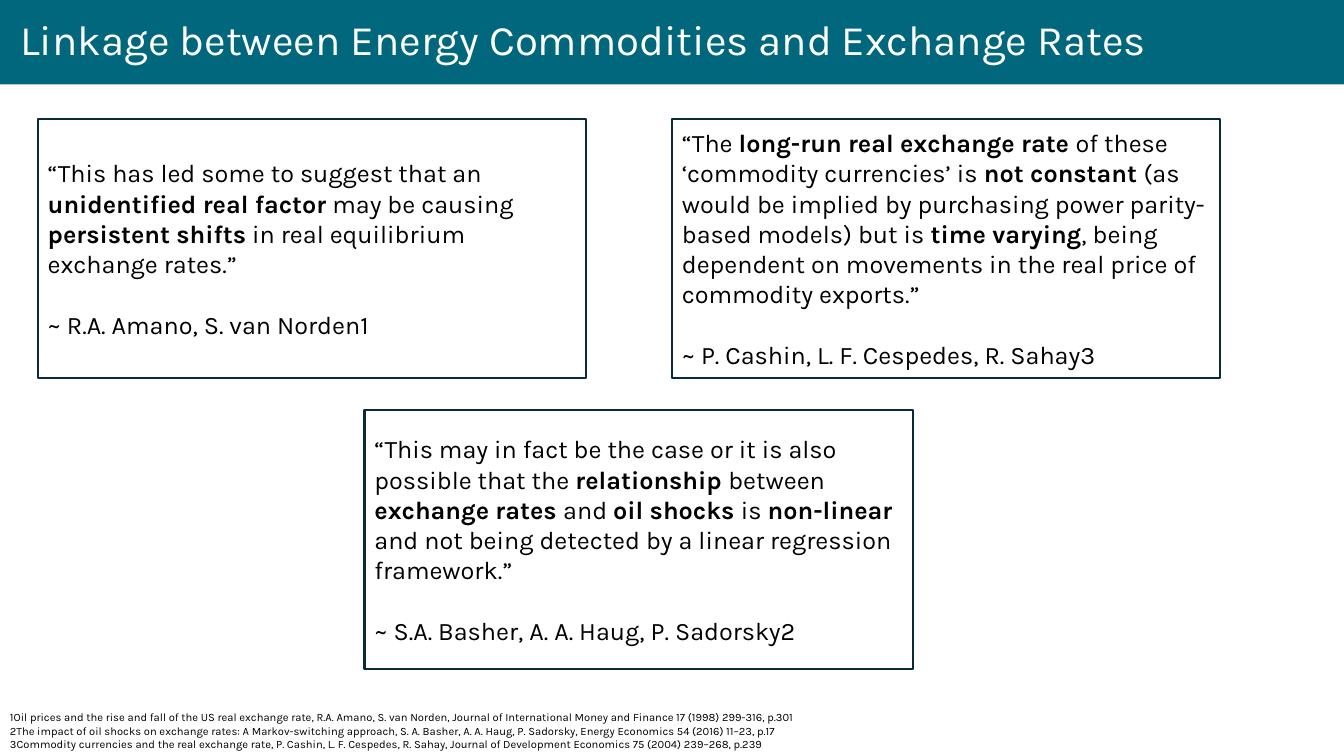
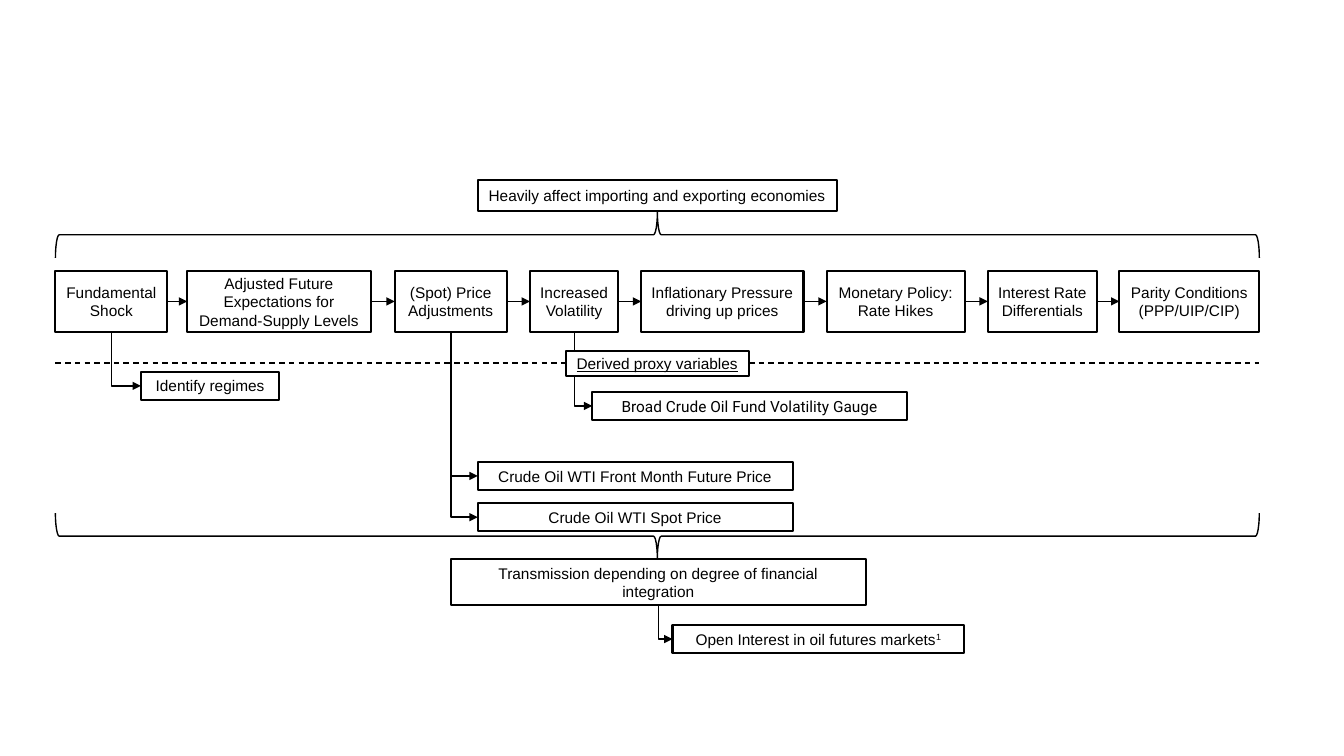
from lxml import etree
from pptx import Presentation
from pptx.dml.color import RGBColor
from pptx.enum.dml import MSO_LINE
from pptx.enum.shapes import MSO_CONNECTOR, MSO_SHAPE
from pptx.enum.text import MSO_ANCHOR, PP_ALIGN
from pptx.oxml.ns import qn
from pptx.util import Pt

LEFT, CENTER = PP_ALIGN.LEFT, PP_ALIGN.CENTER
MIDDLE = MSO_ANCHOR.MIDDLE
RECTANGLE, BRACE = MSO_SHAPE.RECTANGLE, MSO_SHAPE.LEFT_BRACE
STRAIGHT, ELBOW = MSO_CONNECTOR.STRAIGHT, MSO_CONNECTOR.ELBOW
DASH = MSO_LINE.DASH

TITLE_ONLY, BLANK = 5, 6
TEAL, NAVY, BLACK, WHITE = "00677C", "092A39", "000000", "FFFFFF"
KARLA, ARIAL, ROBOTO = "Karla", "Arial", "Roboto"

QUOTE_SIZE = (391.7, 185)
QUOTES = [
    (27, 85,
     "“This has led some to suggest that an **unidentified real factor** may be causing "
     "**persistent shifts** in real equilibrium exchange rates.”",
     "~ R.A. Amano, S. van Norden1"),
    (260.4, 293,
     "“This may in fact be the case or it is also possible that the **relationship **between "
     "**exchange rates **and **oil shocks **is **non-linear **and not being detected by a "
     "linear regression framework.”",
     "~ S.A. Basher, A. A. Haug, P. Sadorsky2"),
    (480, 85,
     "“The **long-run real exchange rate **of these ‘commodity currencies’ is **not constant **"
     "(as would be implied by purchasing power parity-based models) but is **time varying**, "
     "being dependent on movements in the real price of commodity exports.”",
     "~ P. Cashin, L. F. Cespedes, R. Sahay3"),
]
SOURCES = [
    "1Oil prices and the rise and fall of the US real exchange rate, R.A. Amano, S. van Norden, "
    "Journal of International Money and Finance 17 (1998) 299-316, p.301",
    "2The impact of oil shocks on exchange rates: A Markov-switching approach, S. A. Basher, "
    "A. A. Haug, P. Sadorsky, Energy Economics 54 (2016) 11–23, p.17",
    "3Commodity currencies and the real exchange rate, P. Cashin, L. F. Cespedes, R. Sahay, "
    "Journal of Development Economics 75 (2004) 239–268, p.239",
]

FLOW_TOP, FLOW_HEIGHT = 193.6, 43.4
FLOW_STEPS = [  # label, left, width
    ("Fundamental\nShock", 39.6, 80),
    ("Adjusted Future\nExpectations for\nDemand-Supply Levels", 133.8, 131),
    ("(Spot) Price\nAdjustments", 282, 80),
    ("Increased\nVolatility", 378.6, 63),
    ("Inflationary Pressure\ndriving up prices", 458, 116),
    ("Monetary Policy:\nRate Hikes", 590.5, 98.5),
    ("Interest Rate\nDifferentials", 705.6, 78),
    ("Parity Conditions\n(PPP/UIP/CIP)", 799.6, 100),
]
PROXY_HEIGHT = 20
PROXIES = [  # flow step, label, left, top, width, font
    (0, "Identify regimes", 100.6, 265.6, 99, ARIAL),
    (2, "Crude Oil WTI Front Month Future Price", 341.2, 330, 225, ARIAL),
    (2, "Crude Oil WTI Spot Price", 341.2, 359.4, 225, ARIAL),
    (3, "Broad Crude Oil Fund Volatility Gauge", 423, 280, 225, ROBOTO),
]
CHART_LEFT, CHART_RIGHT = 39.6, 899.5


def rgb(value):
    return RGBColor.from_string(value)


def style_spans(para, size, font, color):
    for span in para.runs:
        span.font.size = Pt(size)
        span.font.name = font
        span.font.color.rgb = rgb(color)


def add_outline(page, kind, left, top, width, height, color=BLACK, weight=1.5):
    shape = page.shapes.add_shape(kind, Pt(left), Pt(top), Pt(width), Pt(height))
    shape.shadow.inherit = False
    shape.fill.background()
    shape.line.color.rgb = rgb(color)
    shape.line.width = Pt(weight)
    return shape


def add_title(page, text):
    title = page.shapes.title
    title.left, title.top, title.width, title.height = 0, 0, Pt(960), Pt(60.3)
    title.fill.solid()
    title.fill.fore_color.rgb = rgb(TEAL)
    frame = title.text_frame
    frame.text = text
    frame.vertical_anchor = MIDDLE
    frame.margin_left = Pt(14.5)
    para = frame.paragraphs[0]
    para.alignment = LEFT
    para.line_spacing = 0.9
    style_spans(para, 30, KARLA, WHITE)


def add_quote(page, left, top, quote, authors):
    """Write a quote, whose **marked** words are bold, above its authors."""
    box = add_outline(page, RECTANGLE, left, top, *QUOTE_SIZE, color=NAVY)
    frame = box.text_frame
    frame.word_wrap = True
    frame.vertical_anchor = MIDDLE
    body, credit = frame.paragraphs[0], frame.add_paragraph()
    for index, words in enumerate(quote.split("**")):
        span = body.add_run()
        span.text = words
        span.font.bold = index % 2 == 1
    credit.text = authors
    credit.space_before = Pt(21.6)
    for para in (body, credit):
        para.alignment = LEFT
        style_spans(para, 18, KARLA, BLACK)


def add_sources(page):
    box = page.shapes.add_textbox(0, Pt(504), Pt(805), Pt(36))
    frame = box.text_frame
    frame.word_wrap = True
    frame.text = "\n".join(SOURCES)
    for para in frame.paragraphs:
        style_spans(para, 8, KARLA, BLACK)


def add_label(page, text, left, top, width, height, font=ARIAL):
    box = add_outline(page, RECTANGLE, left, top, width, height)
    frame = box.text_frame
    frame.word_wrap = True
    frame.vertical_anchor = MIDDLE
    frame.margin_left = frame.margin_right = Pt(4)
    frame.text = text
    for para in frame.paragraphs:
        para.alignment = CENTER
        style_spans(para, 11, font, BLACK)
    return box


def add_line(page, kind, start_x, start_y, end_x, end_y, arrow=True):
    line = page.shapes.add_connector(
        kind, int(start_x), int(start_y), int(end_x), int(end_y))
    line.line.color.rgb = rgb(BLACK)
    line.line.width = Pt(1)
    properties = line._element.spPr
    if arrow:
        etree.SubElement(properties.find(qn("a:ln")), qn("a:tailEnd"), type="triangle")
    etree.SubElement(properties, qn("a:effectLst"))
    return line


def middle_y(shape):
    return shape.top + shape.height / 2


def add_step_arrow(page, source, target):
    y = middle_y(source)
    add_line(page, STRAIGHT, source.left + source.width, y, target.left, y)


def add_branch(page, source, target):
    """Lead an arrow down from the source and then right to the target."""
    start_x, start_y = source.left + source.width / 2, source.top + source.height
    end_x, end_y = target.left, middle_y(target)
    center_x, center_y = (start_x + end_x) / 2, (start_y + end_y) / 2
    half_drop, half_run = (end_y - start_y) / 2, (end_x - start_x) / 2
    # The one-bend preset runs right then down, so it is turned and mirrored.
    line = add_line(page, ELBOW, center_x - half_drop, center_y - half_run,
                    center_x + half_drop, center_y + half_run)
    properties = line._element.spPr
    properties.find(qn("a:prstGeom")).set("prst", "bentConnector2")
    frame = properties.find(qn("a:xfrm"))
    frame.set("rot", "16200000")
    frame.set("flipH", "1")


def add_brace(page, center_y, rotation):
    depth, span = 33, CHART_RIGHT - CHART_LEFT
    center_x = (CHART_LEFT + CHART_RIGHT) / 2
    brace = add_outline(page, BRACE, center_x - depth / 2, center_y - span / 2,
                        depth, span, weight=1)
    brace.rotation = rotation


def add_divider(page):
    left, width, y = 404, 131, 259.4
    box = add_label(page, "Derived proxy variables", left, y - 9, width, 18)
    box.fill.solid()
    box.fill.fore_color.rgb = rgb(WHITE)
    box.text_frame.paragraphs[0].runs[0].font.underline = True
    for start, end in ((CHART_LEFT, left), (left + width, CHART_RIGHT)):
        line = add_line(page, STRAIGHT, Pt(start), Pt(y), Pt(end), Pt(y), arrow=False)
        line.line.dash_style = DASH


def add_superscript(box, mark):
    span = box.text_frame.paragraphs[0].add_run()
    span.text = mark
    style_spans(box.text_frame.paragraphs[0], 11, ARIAL, BLACK)
    span._r.get_or_add_rPr().set("baseline", "30000")


def build_quotes(deck):
    page = deck.slides.add_slide(deck.slide_layouts[TITLE_ONLY])
    add_title(page, "Linkage between Energy Commodities and Exchange Rates")
    for quote in QUOTES:
        add_quote(page, *quote)
    add_sources(page)


def build_transmission(deck):
    page = deck.slides.add_slide(deck.slide_layouts[BLANK])
    add_label(page, "Heavily affect importing and exporting economies", 341.2, 128.8, 256.5, 22)
    add_brace(page, 167.7, 90)

    steps = [add_label(page, label, left, FLOW_TOP, width, FLOW_HEIGHT)
             for label, left, width in FLOW_STEPS]
    for source, target in zip(steps, steps[1:]):
        add_step_arrow(page, source, target)
    for step, label, left, top, width, font in PROXIES:
        proxy = add_label(page, label, left, top, width, PROXY_HEIGHT, font)
        add_branch(page, steps[step], proxy)
    add_divider(page)

    add_brace(page, 383, 270)
    transmission = add_label(
        page, "Transmission depending on degree of financial\nintegration", 322, 399.4, 296.6, 33)
    interest = add_label(
        page, "Open Interest in oil futures markets", 480.4, 446.5, 208.4, PROXY_HEIGHT)
    add_superscript(interest, "1")
    add_branch(page, transmission, interest)


def main():
    deck = Presentation()
    deck.slide_width, deck.slide_height = Pt(960), Pt(540)
    build_quotes(deck)
    build_transmission(deck)
    deck.save("out.pptx")


if __name__ == "__main__":
    main()
